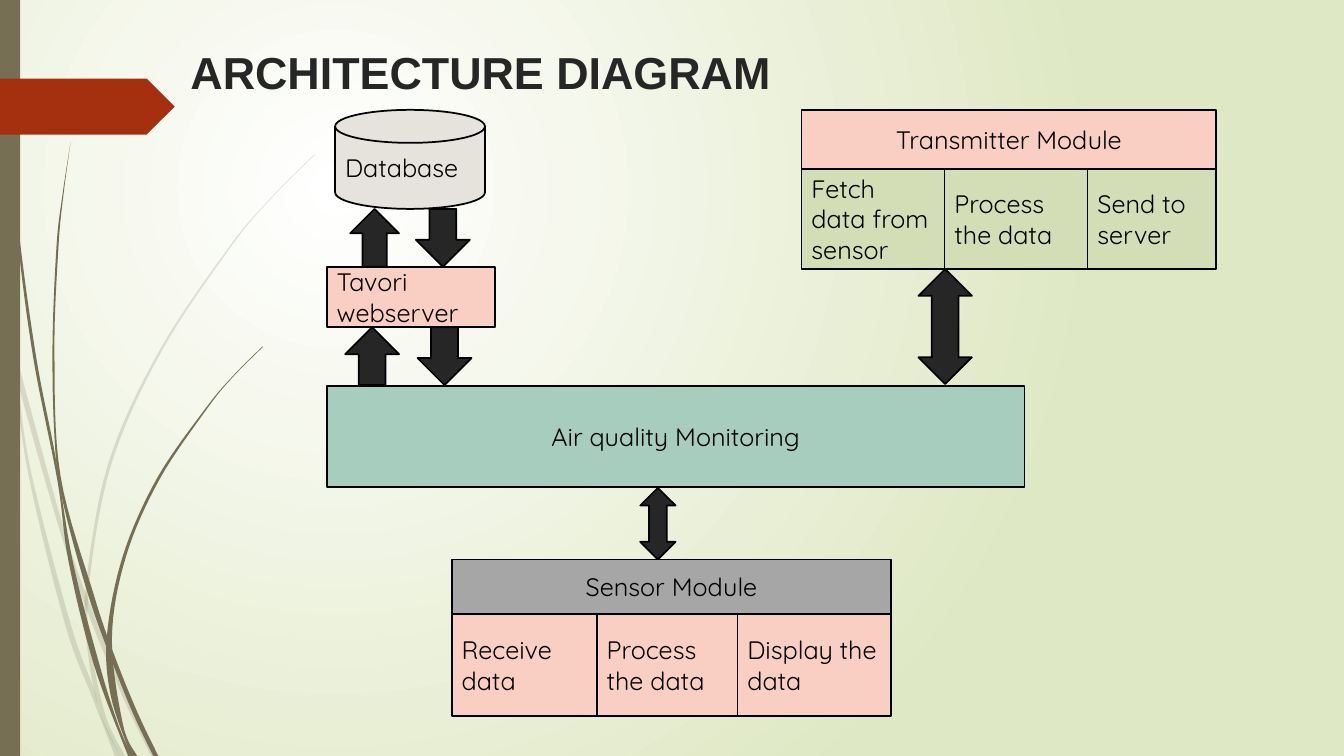
from itertools import accumulate

from lxml import etree
from pptx import Presentation
from pptx.dml.color import RGBColor
from pptx.enum.shapes import MSO_SHAPE
from pptx.enum.text import MSO_ANCHOR, PP_ALIGN
from pptx.oxml.ns import qn
from pptx.util import Inches, Pt

RECTANGLE = MSO_SHAPE.RECTANGLE
PENTAGON = MSO_SHAPE.PENTAGON
CYLINDER = MSO_SHAPE.FLOWCHART_MAGNETIC_DISK
UP, DOWN, BOTH = MSO_SHAPE.UP_ARROW, MSO_SHAPE.DOWN_ARROW, MSO_SHAPE.UP_DOWN_ARROW
MIDDLE = MSO_ANCHOR.MIDDLE
LEFT, CENTER = PP_ALIGN.LEFT, PP_ALIGN.CENTER

CELL = Inches(1)
COLUMNS, ROWS = 13.33, 7.5
COLORS = {
    "white": "FFFFFF", "meadow": "DFE8C4", "bark": "766F54", "rust": "A53010",
    "ink": "262626", "black": "000000", "teal": "A6CDBD", "gray": "A6A6A6",
    "peach": "F9CFC3", "lime": "D4DEB6", "stone": "E5E3DB",
}

PALE_STEMS = [
    ([(0, 2.99), (.11, 3.5), (.28, 4.7), (.65, 6.21), (.92, 6.93), (1.14, 7.5)],
     [(1.19, 7.5), (.99, 7.07), (.93, 6.83), (.7, 6.19), (.31, 4.69), (.17, 3.76),
      (.09, 3.22), (0, 2.82)]),
    ([(.14, 3.45), (.17, 3.76), (.58, 5.22), (.88, 6.1), (1.23, 6.94), (1.5, 7.5)],
     [(1.55, 7.5), (1.27, 6.92), (.92, 6.07), (.62, 5.2), (.14, 3.45)]),
    ([(3.12, 1.53), (2.68, 1.97), (2.28, 2.44), (1.58, 3.48), (1.07, 4.61), (.85, 5.84),
      (.87, 6.46), (.99, 7.07), (1.19, 7.5)],
     [(1.24, 7.5), (1.05, 7.11), (.91, 6.46), (.88, 5.84), (1.1, 4.62), (1.6, 3.49),
      (2.29, 2.45), (2.68, 1.98), (3.12, 1.54)]),
]
DARK_STEMS = [
    ([(.03, 0), (.07, 1.1), (.17, 2.33), (.33, 3.55), (.57, 4.77), (.68, 5.57),
      (.93, 6.59), (1.27, 7.5)],
     [(1.31, 7.5), (1.17, 7.18), (.98, 6.57), (.72, 5.56), (.55, 4.53), (.36, 3.55),
      (.19, 2.32), (.08, 1.09), (.04, 0)]),
    ([(.7, 1.41), (.62, 1.93), (.56, 2.45), (.52, 3.49), (.55, 4.49), (.64, 5.05),
      (.88, 5.92), (1.11, 6.56), (1.32, 7.08), (1.52, 7.5)],
     [(1.57, 7.5), (1.36, 7.06), (1.13, 6.49), (.93, 5.9), (.6, 4.72), (.54, 3.49),
      (.58, 2.45), (.63, 1.93), (.7, 1.41)]),
    ([(2.6, 3.44), (2.31, 3.73), (2.04, 4.05), (1.56, 4.74), (1.22, 5.51), (1.06, 6.31),
      (1.1, 6.91), (1.3, 7.5)],
     [(1.36, 7.5), (1.22, 7.19), (1.11, 6.33), (1.25, 5.52), (1.58, 4.76), (2.05, 4.06),
      (2.31, 3.74), (2.61, 3.44)]),
]


def rgb(name):
    return RGBColor.from_string(COLORS[name])


def emu(box):
    return [int(length * CELL) for length in box]


def part(box, left, top, width, height):
    return (box[0] + left * box[2], box[1] + top * box[3], width * box[2], height * box[3])


def write(shape, text, size=18, font="Quicksand", color="black", bold=False, align=LEFT):
    frame = shape.text_frame
    frame.word_wrap = True
    frame.vertical_anchor = MIDDLE
    for index, line in enumerate(text.split("\n")):
        para = frame.add_paragraph() if index else frame.paragraphs[0]
        para.alignment = align
        span = para.add_run()
        span.text = line
        span.font.size = Pt(size)
        span.font.name = font
        span.font.bold = bold
        span.font.color.rgb = rgb(color)


def paint(shape, fill, outlined=False):
    shape.shadow.inherit = False
    shape.fill.solid()
    shape.fill.fore_color.rgb = rgb(fill)
    if outlined:
        shape.line.color.rgb = rgb("black")
        shape.line.width = Pt(1.25)
    else:
        shape.line.fill.background()


def block(page, kind, box, fill, text="", align=LEFT, outlined=True):
    shape = page.shapes.add_shape(kind, *emu(box))
    paint(shape, fill, outlined)
    if text:
        write(shape, text, align=align)


def smooth(points, steps=8):
    padded = [points[0], *points, points[-1]]
    curve = [points[0]]
    for a, b, c, d in zip(padded, padded[1:], padded[2:], padded[3:]):
        for step in range(1, steps + 1):
            t = step / steps
            curve.append(tuple(
                (2 * q + (r - p) * t + (2 * p - 5 * q + 4 * r - s) * t ** 2
                 + (3 * q - p - 3 * r + s) * t ** 3) / 2
                for p, q, r, s in zip(a, b, c, d)))
    return curve


def stem(page, box, edges, opacity):
    outline = [((box[0] + x) * CELL, (box[1] + y) * CELL)
               for edge in edges for x, y in smooth(edge)]
    builder = page.shapes.build_freeform(*outline[0])
    builder.add_line_segments(outline[1:])
    shape = builder.convert_to_shape()
    paint(shape, "bark")
    if opacity < 100:
        color = shape.element.spPr.find(qn("a:solidFill")).find(qn("a:srgbClr"))
        etree.SubElement(color, qn("a:alpha"), val=str(opacity * 1000))


def backdrop(page, box):
    fill = page.background.fill
    fill.gradient()
    for stop, name in zip(fill.gradient_stops, ("white", "meadow")):
        stop.color.rgb = rgb(name)
    gradient = next(page.element.iter(qn("a:gradFill")))
    gradient.remove(gradient.find(qn("a:lin")))
    circle = etree.SubElement(gradient, qn("a:path"), path="circle")
    etree.SubElement(circle, qn("a:fillToRect"), l="50000", t="50000", r="100000", b="100000")
    for stems, opacity in ((PALE_STEMS, 20), (DARK_STEMS, 100)):
        for edges in stems:
            stem(page, box, edges, opacity)
    block(page, RECTANGLE, part(box, 0, 0, .015, 1), "bark", outlined=False)
    block(page, PENTAGON, part(box, 0, .104, .13, .074), "rust", outlined=False)


def heading(page, box, text):
    title = page.shapes.add_textbox(*emu(box))
    write(title, text, size=32, font="Arial", color="ink", bold=True)


def module(page, box, name, steps, shares, header, header_fill, step_fill):
    block(page, RECTANGLE, part(box, 0, 0, 1, header), header_fill, name, CENTER)
    for text, left, share in zip(steps, accumulate(shares, initial=0), shares):
        block(page, RECTANGLE, part(box, left, header, share, 1 - header), step_fill, text)


def server_stack(page, box):
    block(page, RECTANGLE, part(box, 0, .57, 1, .22), "peach", "Tavori\nwebserver")
    for kind, left, top, width in ((UP, .11, .79, .32), (DOWN, .54, .79, .32),
                                   (UP, .14, .36, .29), (DOWN, .53, .36, .32)):
        block(page, kind, part(box, left, top, width, .21), "ink")
    block(page, CYLINDER, part(box, .05, 0, .89, .36), "stone", "Database")


def main():
    deck = Presentation()
    deck.slide_width, deck.slide_height = emu((COLUMNS, ROWS))
    page = deck.slides.add_slide(deck.slide_layouts[6])
    backdrop(page, (0, 0, COLUMNS, ROWS))
    heading(page, (1.79, .35, 9.75, .72), "ARCHITECTURE DIAGRAM")
    block(page, RECTANGLE, (3.24, 3.83, 6.92, 1), "teal", "Air quality Monitoring", CENTER)
    block(page, BOTH, (6.35, 4.84, .35, .71), "ink")
    module(page, (4.48, 5.55, 4.36, 1.55), "Sensor Module",
           ("Receive\ndata", "Process the data", "Display the data"),
           (.33, .32, .35), .35, "gray", "peach")
    server_stack(page, (3.24, 1.09, 1.67, 2.73))
    block(page, BOTH, (9.11, 2.67, .53, 1.14), "ink")
    module(page, (7.95, 1.09, 4.11, 1.58), "Transmitter Module",
           ("Fetch data from sensor", "Process the data", "Send to server"),
           (.345, .345, .31), .37, "peach", "lime")
    deck.save("out.pptx")


if __name__ == "__main__":
    main()
